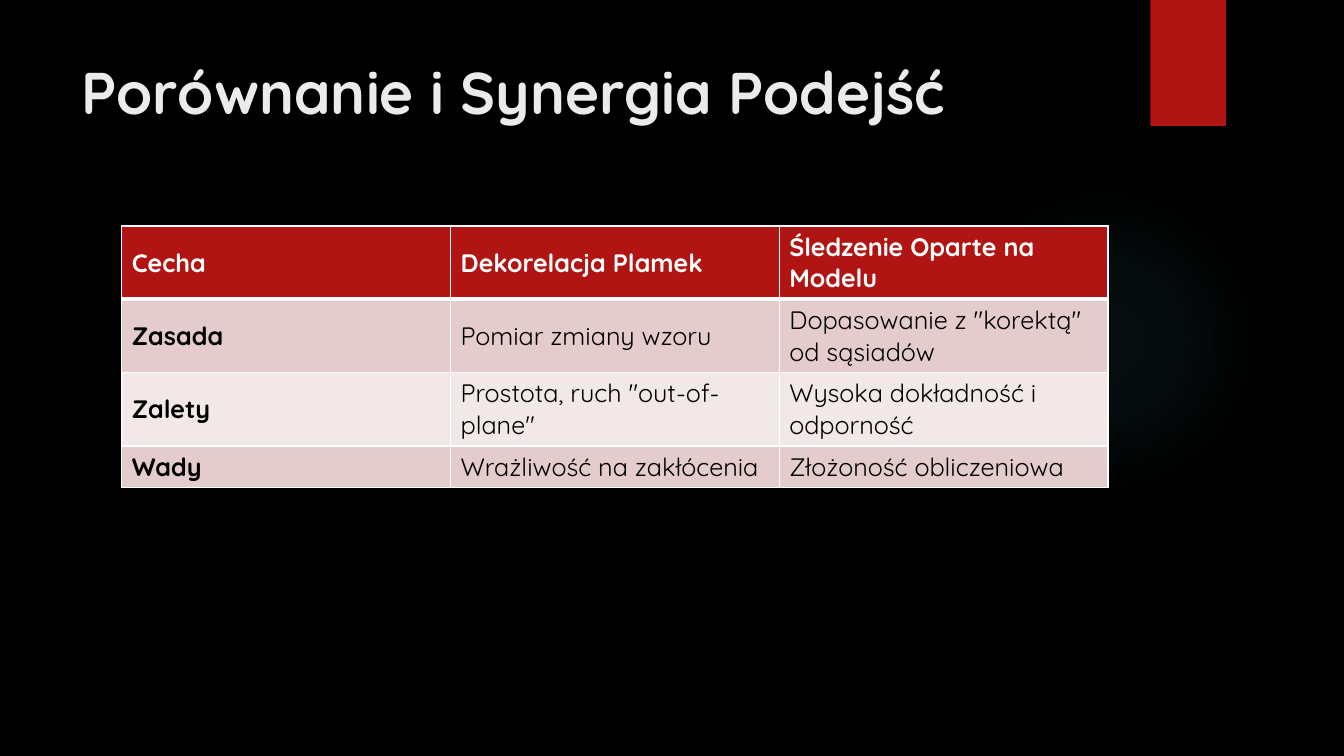
from lxml.etree import fromstring
from pptx import Presentation
from pptx.dml.color import RGBColor
from pptx.enum.shapes import MSO_SHAPE
from pptx.enum.text import MSO_ANCHOR
from pptx.util import Pt

NAMESPACE = "http://schemas.openxmlformats.org/drawingml/2006/main"


def color(value):
    return RGBColor.from_string(value)


def drawing(tag, attributes, content=""):
    return fromstring(f'<a:{tag} xmlns:a="{NAMESPACE}" {attributes}>{content}</a:{tag}>')


def color_xml(value, alpha=100):
    return f'<a:srgbClr val="{value}"><a:alpha val="{alpha * 1000}"/></a:srgbClr>'


class SlideBuilder:
    font_name = "Quicksand"
    red = "B01513"
    white = "FFFFFF"
    black = "000000"
    band_fills = ("E4CCCC", "F2E8E7")

    def __init__(self, presentation):
        self.slide = presentation.slides.add_slide(presentation.slide_layouts[6])
        background = self.slide.background.fill
        background.solid()
        background.fore_color.rgb = color(self.black)

    def add_text(self, text_frame, text, size, text_color, bold):
        paragraph = text_frame.paragraphs[0]
        run = paragraph.add_run()
        run.text = text
        font_format = {"name": self.font_name, "size": Pt(size), "bold": bold}
        for name, value in font_format.items():
            setattr(run.font, name, value)
        run.font.color.rgb = color(text_color)

    def shape(self, kind, left, top, width, height):
        shape = self.slide.shapes.add_shape(kind, Pt(left), Pt(top), Pt(width), Pt(height))
        shape.shadow.inherit = False
        shape.line.fill.background()
        return shape

    def glow(self, left, top, diameter, glow_color, stops):
        shape = self.shape(MSO_SHAPE.OVAL, left, top, diameter, diameter)
        shape.fill.background()
        properties = shape._element.spPr
        empty_fill = properties.find(f"{{{NAMESPACE}}}noFill")
        stop_list = "".join(
            f'<a:gs pos="{position * 1000}">{color_xml(glow_color, alpha)}</a:gs>'
            for position, alpha in stops
        )
        center = '<a:fillToRect l="50000" t="50000" r="50000" b="50000"/>'
        gradient = drawing(
            "gradFill", 'rotWithShape="1"',
            f'<a:gsLst>{stop_list}</a:gsLst><a:path path="circle">{center}</a:path>',
        )
        properties.replace(empty_fill, gradient)

    def ribbon(self, left, top, width, height):
        shape = self.shape(MSO_SHAPE.RECTANGLE, left, top, width, height)
        shape.fill.solid()
        shape.fill.fore_color.rgb = color(self.red)
        effects = shape._element.spPr.find(f"{{{NAMESPACE}}}effectLst")
        effects.append(drawing(
            "outerShdw",
            f'blurRad="{Pt(3)}" dist="{Pt(2)}" dir="5400000" rotWithShape="0"',
            color_xml(self.black, 45),
        ))

    def title(self, text, left, top, width, height):
        text_box = self.slide.shapes.add_textbox(Pt(left), Pt(top), Pt(width), Pt(height))
        frame_format = {"word_wrap": True, "vertical_anchor": MSO_ANCHOR.TOP}
        for name, value in frame_format.items():
            setattr(text_box.text_frame, name, value)
        self.add_text(text_box.text_frame, text, 42, "EBEBEB", True)

    def borders(self, cell, widths):
        properties = cell._tc.get_or_add_tcPr()
        for index, (side, width) in enumerate(widths.items()):
            line = drawing(
                f"ln{side}", f'w="{Pt(width)}"',
                f"<a:solidFill>{color_xml(self.white)}</a:solidFill>",
            )
            properties.insert(index, line)

    def table(self, rows, left, top, column_width, row_heights):
        column_count = len(rows[0])
        table = self.slide.shapes.add_table(
            len(rows), column_count, Pt(left), Pt(top),
            Pt(column_width * column_count), Pt(sum(row_heights)),
        ).table
        for column in table.columns:
            column.width = Pt(column_width)
        for row_index, (texts, height) in enumerate(zip(rows, row_heights)):
            table.rows[row_index].height = Pt(height)
            header = row_index == 0
            fill = self.red if header else self.band_fills[(row_index - 1) % 2]
            text_color = self.white if header else self.black
            widths = {"L": 1, "R": 1, "T": 3 if row_index == 1 else 1, "B": 3 if header else 1}
            for column_index, text in enumerate(texts):
                cell = table.cell(row_index, column_index)
                cell.vertical_anchor = MSO_ANCHOR.MIDDLE
                cell.fill.solid()
                cell.fill.fore_color.rgb = color(fill)
                self.borders(cell, widths)
                self.add_text(cell.text_frame, text, 18, text_color, header or column_index == 0)


def main():
    presentation = Presentation()
    presentation.slide_width = Pt(960)
    presentation.slide_height = Pt(540)
    builder = SlideBuilder(presentation)
    builder.glow(677.5, 131.8, 221.8, "50B9C1", [(0, 7), (36, 6), (69, 0)])
    builder.ribbon(821.8, 0, 54, 90)
    builder.title("Porównanie i Synergia Podejść", 51.1, 36, 740.9, 110.2)
    comparison = [
        ("Cecha", "Dekorelacja Plamek", "Śledzenie Oparte na Modelu"),
        ("Zasada", "Pomiar zmiany wzoru", 'Dopasowanie z "korektą" od sąsiadów'),
        ("Zalety", 'Prostota, ruch "out-of-plane"', "Wysoka dokładność i odporność"),
        ("Wady", "Wrażliwość na zakłócenia", "Złożoność obliczeniowa"),
    ]
    builder.table(comparison, 87, 161.4, 234.8, [52.4, 52.4, 52.4, 29.5])
    presentation.save("out.pptx")


if __name__ == "__main__":
    main()
